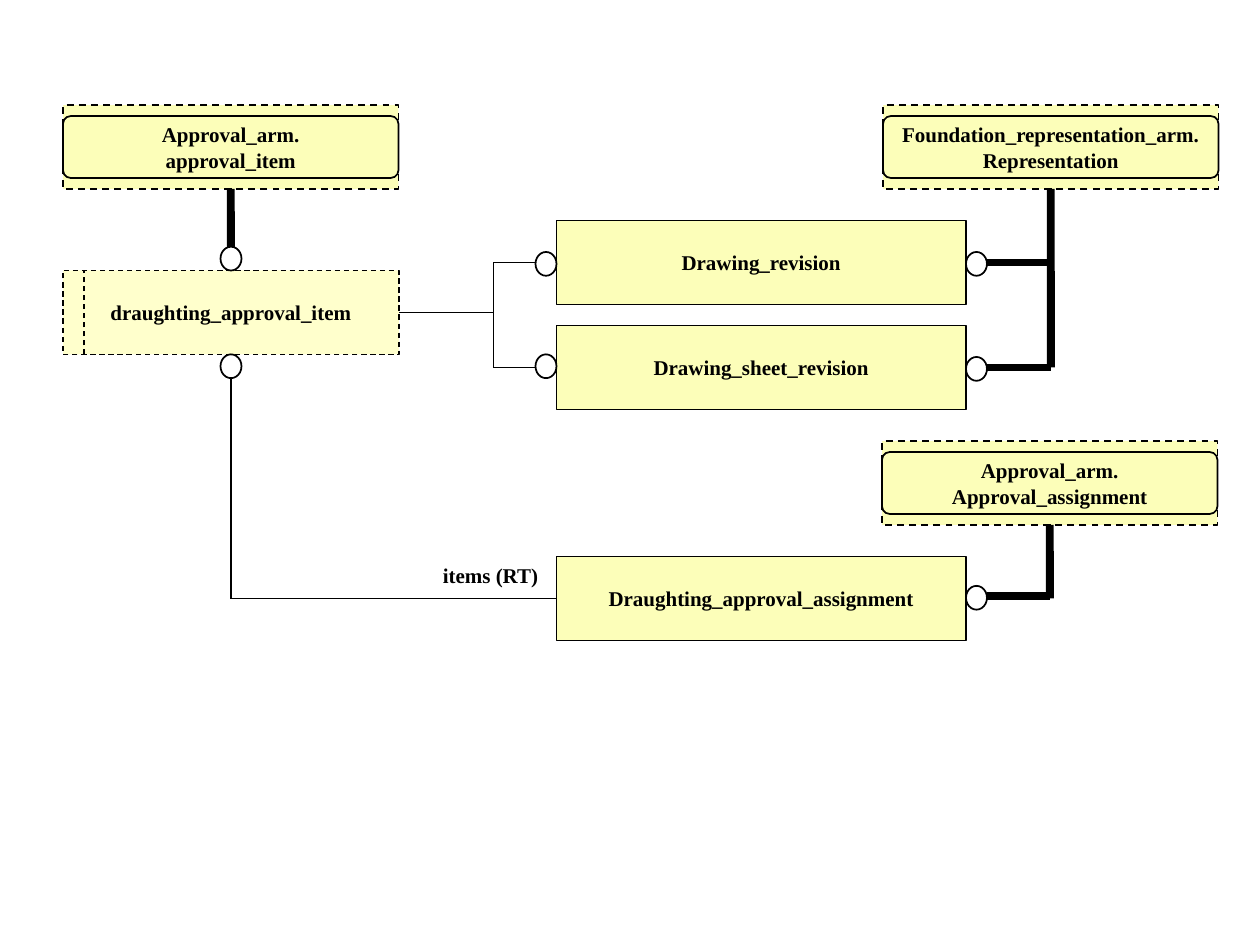
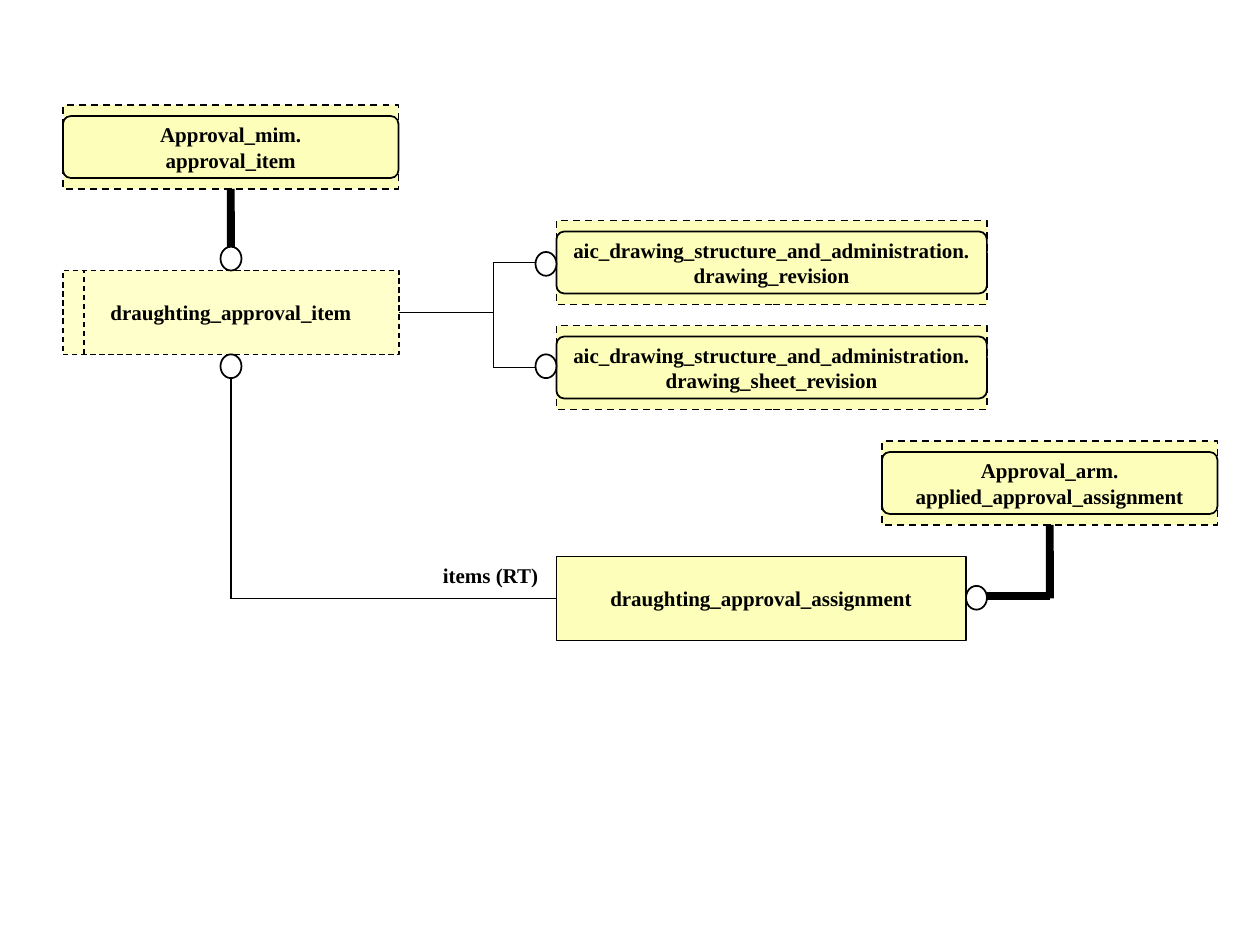
from lxml import etree
from pptx import Presentation
from pptx.dml.color import RGBColor
from pptx.enum.dml import MSO_LINE
from pptx.enum.shapes import MSO_CONNECTOR, MSO_SHAPE
from pptx.enum.text import MSO_ANCHOR, MSO_AUTO_SIZE, PP_ALIGN
from pptx.oxml.ns import qn
from pptx.util import Pt

RECT, ROUND, OVAL = MSO_SHAPE.RECTANGLE, MSO_SHAPE.ROUNDED_RECTANGLE, MSO_SHAPE.OVAL
STRAIGHT, DASH = MSO_CONNECTOR.STRAIGHT, MSO_LINE.DASH
LEFT, CENTER, MIDDLE = PP_ALIGN.LEFT, PP_ALIGN.CENTER, MSO_ANCHOR.MIDDLE
GROW = MSO_AUTO_SIZE.SHAPE_TO_FIT_TEXT

COLORS = {"ink": "000000", "paper": "FFFFFF", "entity": "FCFEB9", "select": "FFFFCC"}
FONT, SIZE = "Times New Roman", 12
THIN, THICK, FINE = 1, 4.5, 0.75
HIGH = 48  # height of every entity box
INK = RGBColor.from_string(COLORS["ink"])


def put(shapes, box, text="", kind=RECT, fill=None, width=THIN, dash=None, align=CENTER):
    """Add a shape, or a plain text box when kind is None."""
    area = [Pt(n) for n in box]
    if kind is None:
        shape = shapes.add_textbox(*area)
    else:
        shape = shapes.add_shape(kind, *area)
        shape.shadow.inherit = False
        shape.line.color.rgb = INK
        shape.line.width = Pt(width)
        if dash:
            shape.line.dash_style = dash
        if fill:
            shape.fill.solid()
            shape.fill.fore_color.rgb = RGBColor.from_string(COLORS[fill])
        else:
            shape.fill.background()
    if text:
        frame = shape.text_frame
        frame.word_wrap = False
        if kind is None:
            frame.auto_size = GROW
        else:
            frame.vertical_anchor = MIDDLE
        for i, words in enumerate(text.split("\n")):
            para = frame.paragraphs[0] if i == 0 else frame.add_paragraph()
            para.alignment = align
            run = para.add_run()
            run.text = words
            run.font.name, run.font.size, run.font.bold = FONT, Pt(SIZE), True
            run.font.color.rgb = INK
    return shape


def link(shapes, ends, width=THIN, dash=None, start=None):
    """Add a straight line; start is the (shape, side) it is joined to."""
    line = shapes.add_connector(STRAIGHT, *[Pt(n) for n in ends])
    if start:
        line.begin_connect(*start)
    line.line.color.rgb = INK
    line.line.width = Pt(width)
    if dash:
        line.line.dash_style = dash
    etree.SubElement(line._element.spPr, qn("a:effectLst"))


# Frames hold entities of other schemas, boxes hold local ones: left, top, width
PAGES = [
    {
        "frames": {
            "item": (36, 60, 191.7, "Approval_arm.\napproval_item"),
            "found": (504.6, 60, 191.7, "Foundation_representation_arm.\nRepresentation"),
            "assign": (504, 252, 191.7, "Approval_arm.\nApproval_assignment"),
        },
        "boxes": {
            "rev": (318, 126, 234, "Drawing_revision"),
            "sheet": (318, 186, 234, "Drawing_sheet_revision"),
            "local": (318, 318, 234, "Draughting_approval_assignment"),
        },
    },
    {
        "frames": {
            "item": (36, 60, 191.7, "Approval_mim.\napproval_item"),
            "rev": (318, 126, 246, "aic_drawing_structure_and_administration.\ndrawing_revision"),
            "sheet": (318, 186, 246,
                      "aic_drawing_structure_and_administration.\ndrawing_sheet_revision"),
            "assign": (504, 252, 191.7, "Approval_arm.\napplied_approval_assignment"),
        },
        "boxes": {"local": (318, 318, 234, "draughting_approval_assignment")},
    },
]

deck = Presentation()
deck.slide_width, deck.slide_height = Pt(720), Pt(540)

for page in PAGES:
    shapes = deck.slides.add_slide(deck.slide_layouts[6]).shapes
    parts = {}

    # Entities
    for name, (left, top, wide, text) in page["frames"].items():
        group = shapes.add_group_shape().shapes
        parts[name] = put(group, (left, top, wide, HIGH), text, fill="entity", dash=DASH)
        inner = put(group, (left, top + 6.3, wide, 35.4), kind=ROUND)
        inner.adjustments[0] = 0.125
    for name, (left, top, wide, text) in page["boxes"].items():
        parts[name] = put(shapes, (left, top, wide, HIGH), text, fill="entity")

    # Select type with its side strip
    pick = put(shapes, (36, 154.5, 192, HIGH), "draughting_approval_item",
               fill="select", width=FINE, dash=DASH)
    link(shapes, (48, 202.5, 48, 154.5), FINE, DASH)

    # Supertype lines
    link(shapes, (132, 108, 132, 144), THICK, start=(parts["item"], 2))
    link(shapes, (600, 300, 600, 342), THICK, start=(parts["assign"], 2))
    link(shapes, (564, 340.6, 600, 340.6), THICK)
    rings = [(126, 141), (126, 202.5), (306, 144), (306, 202.5), (552, 334.8)]
    if "found" in parts:
        link(shapes, (600.5, 108, 600.5, 210), THICK, start=(parts["found"], 2))
        for y in (150, 210):
            link(shapes, (564, y, 600.5, y), THICK)
            rings.append((552, y - 6))

    # Branch from the select type to its members
    link(shapes, (228, 178.5, 282, 178.5), start=(pick, 3))
    link(shapes, (282, 210, 282, 150))
    for y in (150, 210):
        link(shapes, (282, y, 306, y))

    # Items attribute
    link(shapes, (318, 342, 132, 342), start=(parts["local"], 1))
    link(shapes, (132, 216, 132, 342))
    put(shapes, (246, 318, 69, 21.6), "items (RT)", kind=None, align=LEFT)

    # Rings at the line ends
    for left, top in rings:
        put(shapes, (left, top, 12, 13.6), kind=OVAL, fill="paper")

deck.save("out.pptx")
